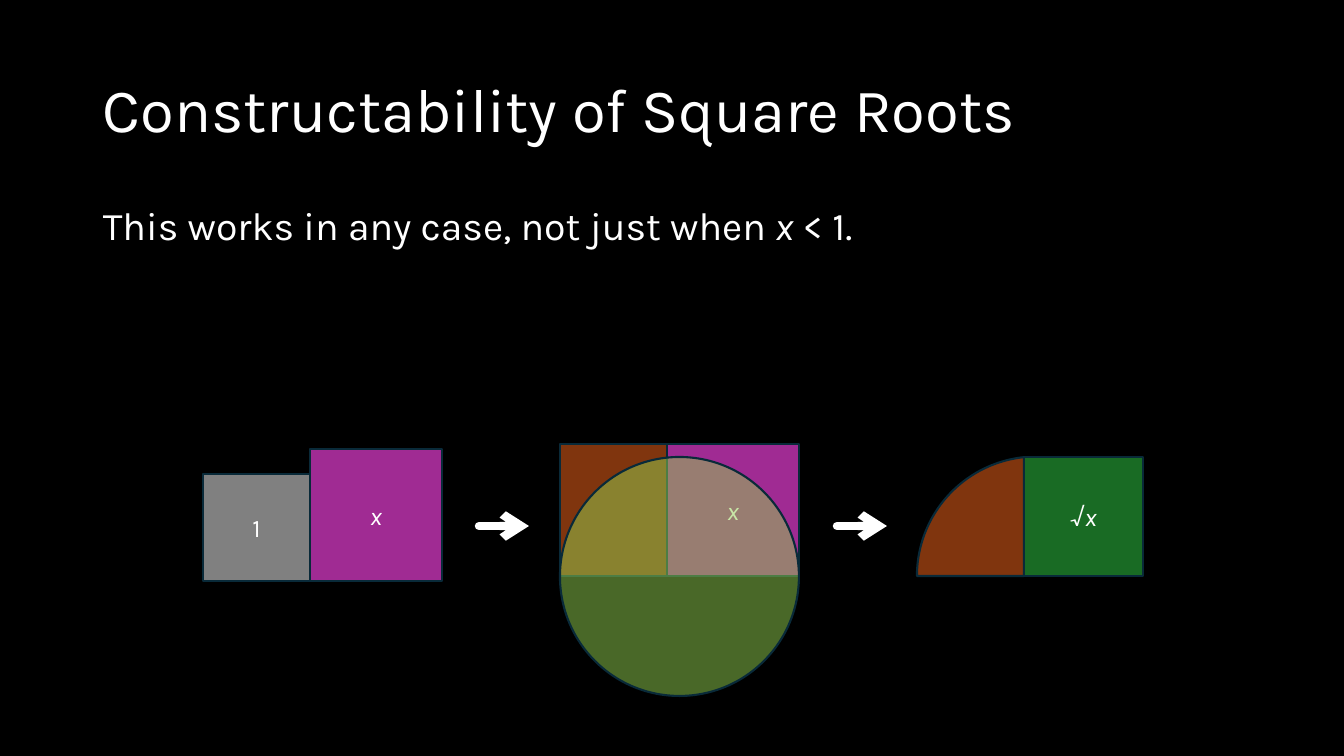
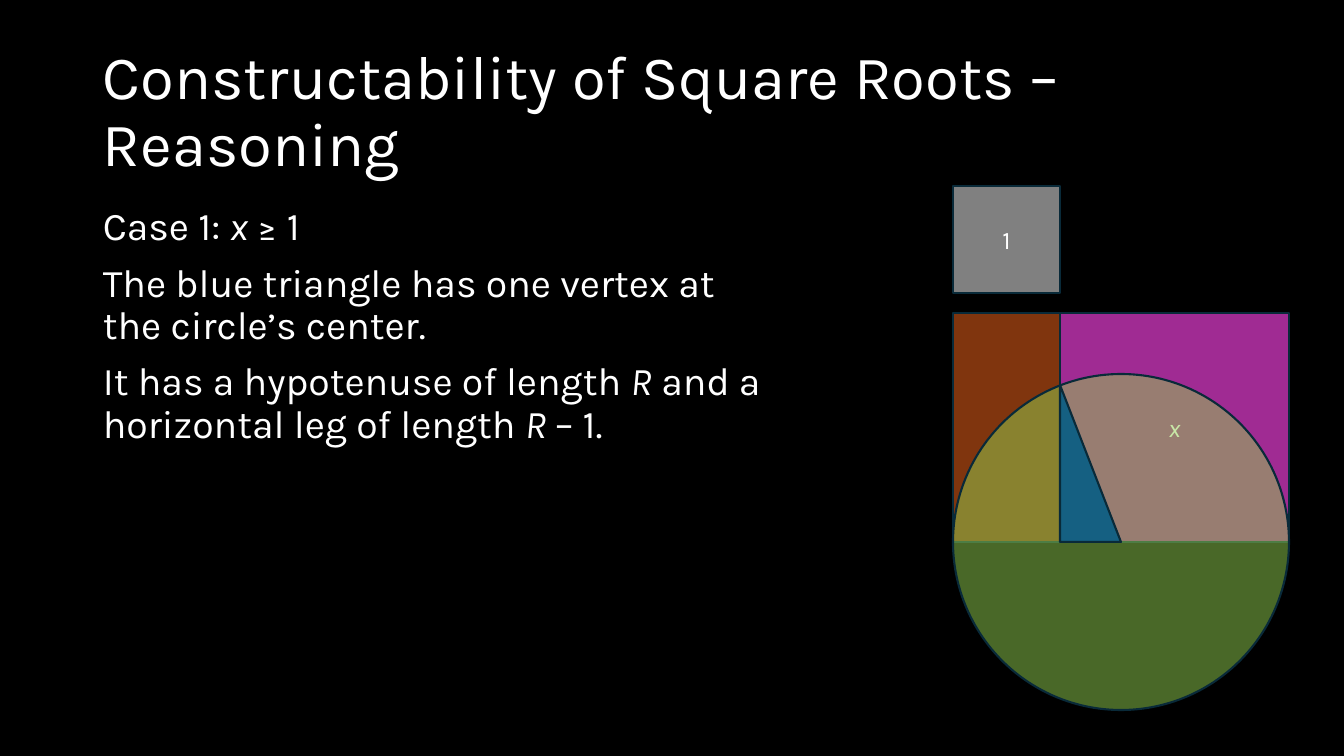
"""Build two slides on constructing square roots with circles."""
import math
from dataclasses import dataclass
from typing import NamedTuple

from lxml import etree
from pptx import Presentation
from pptx import util as u
from pptx.dml.color import RGBColor
from pptx.enum import shapes, text
from pptx.oxml import ns

WIDE, HIGH = 1344, 756
SCALE = 12192000 / WIDE
KIND = shapes.MSO_SHAPE


@dataclass(frozen=True)
class Theme:
    font: str = "Karla"
    back: str = "000000"
    ink: str = "FFFFFF"
    edge: str = "092A39"
    gray: str = "808080"
    plum: str = "A02B93"
    rust: str = "80350E"
    leaf: str = "196B24"
    lime: str = "92D050"
    blue: str = "156082"
    title: int = 44
    body: int = 28
    label: int = 18
    thin: float = 1.5
    thick: int = 6


class Run(NamedTuple):
    words: str
    slant: bool = False


class Box(NamedTuple):
    left: int
    top: int
    width: int
    height: int


Para = tuple[Run, ...]
LOOK = Theme()
ONE = 107
X = Run("x", True)
UNIT = (Run("1"),)


def px(size: float) -> u.Emu:
    return u.Emu(round(size * SCALE))


def rgb(code: str) -> RGBColor:
    return RGBColor.from_string(code)


def write(para, runs: Para, size: int) -> None:
    for item in runs:
        run = para.add_run()
        run.text = item.words
        font = run.font
        font.name, font.size = LOOK.font, u.Pt(size)
        font.italic = item.slant
        font.color.rgb = rgb(LOOK.ink)


def block(slide, box: Box, paras: list[Para], size: int, anchor) -> None:
    frame = slide.shapes.add_textbox(*map(px, box)).text_frame
    frame.word_wrap = True
    frame.vertical_anchor = anchor
    for spot, runs in enumerate(paras):
        para = frame.add_paragraph() if spot else frame.paragraphs[0]
        para.line_spacing = 0.9
        para.space_before = u.Pt(10 if spot else 0)
        write(para, runs, size)


def paint(shape, fill: str) -> None:
    shape.shadow.inherit = False
    shape.fill.solid()
    shape.fill.fore_color.rgb = rgb(fill)
    shape.line.color.rgb = rgb(LOOK.edge)
    shape.line.width = u.Pt(LOOK.thin)


def draw(slide, kind, box: Box, fill: str, runs: Para = ()):
    shape = slide.shapes.add_shape(kind, *map(px, box))
    paint(shape, fill)
    if runs:
        frame = shape.text_frame
        frame.vertical_anchor = text.MSO_ANCHOR.MIDDLE
        para = frame.paragraphs[0]
        para.alignment = text.PP_ALIGN.CENTER
        write(para, runs, LOOK.label)
    return shape


def square(slide, left: int, base: int, side: int, fill: str, runs: Para) -> None:
    draw(slide, KIND.RECTANGLE, Box(left, base - side, side, side), fill, runs)


def build(slide, left: int, base: int, side: int) -> None:
    square(slide, left + ONE, base, side, LOOK.plum, (X,))
    draw(slide, KIND.RECTANGLE, Box(left, base - side, ONE, side), LOOK.rust)
    span = ONE + side
    disc = draw(slide, KIND.OVAL, Box(left, base - span // 2, span, span), LOOK.lime)
    tint = disc.fill._xPr.find(".//" + ns.qn("a:srgbClr"))
    etree.SubElement(tint, ns.qn("a:alpha"), val="50000")


def wedge(slide, left: int, base: int, side: int) -> None:
    radius = (ONE + side) / 2
    stop = math.acos((radius - ONE) / radius)
    steps = 60
    turns = [stop * step / steps for step in range(steps + 1)]
    arc = [(px(left + radius * (1 - math.cos(turn))),
            px(base - radius * math.sin(turn))) for turn in turns]
    pen = slide.shapes.build_freeform(px(left + ONE), px(base))
    pen.add_line_segments(arc, close=True)
    paint(pen.convert_to_shape(), LOOK.rust)


def arrow(slide, left: int, mid: int, size: int) -> None:
    ends = map(px, (left, mid, left + size, mid))
    link = slide.shapes.add_connector(shapes.MSO_CONNECTOR.STRAIGHT, *ends)
    link.line.color.rgb = rgb(LOOK.ink)
    link.line.width = u.Pt(LOOK.thick)
    props = link._element.spPr
    line = props.find(ns.qn("a:ln"))
    line.set("cap", "rnd")
    etree.SubElement(line, ns.qn("a:tailEnd"), type="arrow")
    etree.SubElement(props, ns.qn("a:effectLst"))


def page(deck, title: str, paras: list[Para], width: int):
    slide = deck.slides.add_slide(deck.slide_layouts[6])
    block(slide, Box(93, 40, 1159, 146), [(Run(title),)], LOOK.title,
          text.MSO_ANCHOR.MIDDLE)
    block(slide, Box(93, 202, width, 480), paras, LOOK.body,
          text.MSO_ANCHOR.TOP)
    return slide


def steps(deck) -> None:
    slide = page(deck, "Constructability of Square Roots", [
        (Run("This works in any case, not just when "), X, Run(" < 1.")),
    ], 1159)
    side, base, floor = 132, 576, 581
    root = round(math.sqrt(ONE * side))
    first, second, third = 203, 560, 917
    square(slide, first + ONE, floor, side, LOOK.plum, (X,))
    square(slide, first, floor, ONE, LOOK.gray, UNIT)
    square(slide, third + ONE, base, root, LOOK.leaf, (Run("√"), X))
    build(slide, second, base, side)
    wedge(slide, third, base, side)
    for left in (479, 837):
        arrow(slide, left, 526, 50)


def proof(deck) -> None:
    radius = Run("R", True)
    slide = page(deck, "Constructability of Square Roots – Reasoning", [
        (Run("Case 1: "), X, Run(" ≥ 1")),
        (Run("The blue triangle has one vertex at the circle’s center."),),
        (Run("It has a hypotenuse of length "), radius,
         Run(" and a horizontal leg of length "), Run("R ", True), Run("– 1.")),
    ], 694)
    left, base, side = 953, 542, 229
    build(slide, left, base, side)
    leg = (ONE + side) // 2 - ONE
    rise = round(math.sqrt(ONE * side))
    draw(slide, KIND.RIGHT_TRIANGLE, Box(left + ONE, base - rise, leg, rise),
         LOOK.blue)
    square(slide, left, 293, ONE, LOOK.gray, UNIT)


def main() -> None:
    deck = Presentation()
    deck.slide_width, deck.slide_height = px(WIDE), px(HIGH)
    back = deck.slide_master.background.fill
    back.solid()
    back.fore_color.rgb = rgb(LOOK.back)
    steps(deck)
    proof(deck)
    deck.save("out.pptx")


if __name__ == "__main__":
    main()
